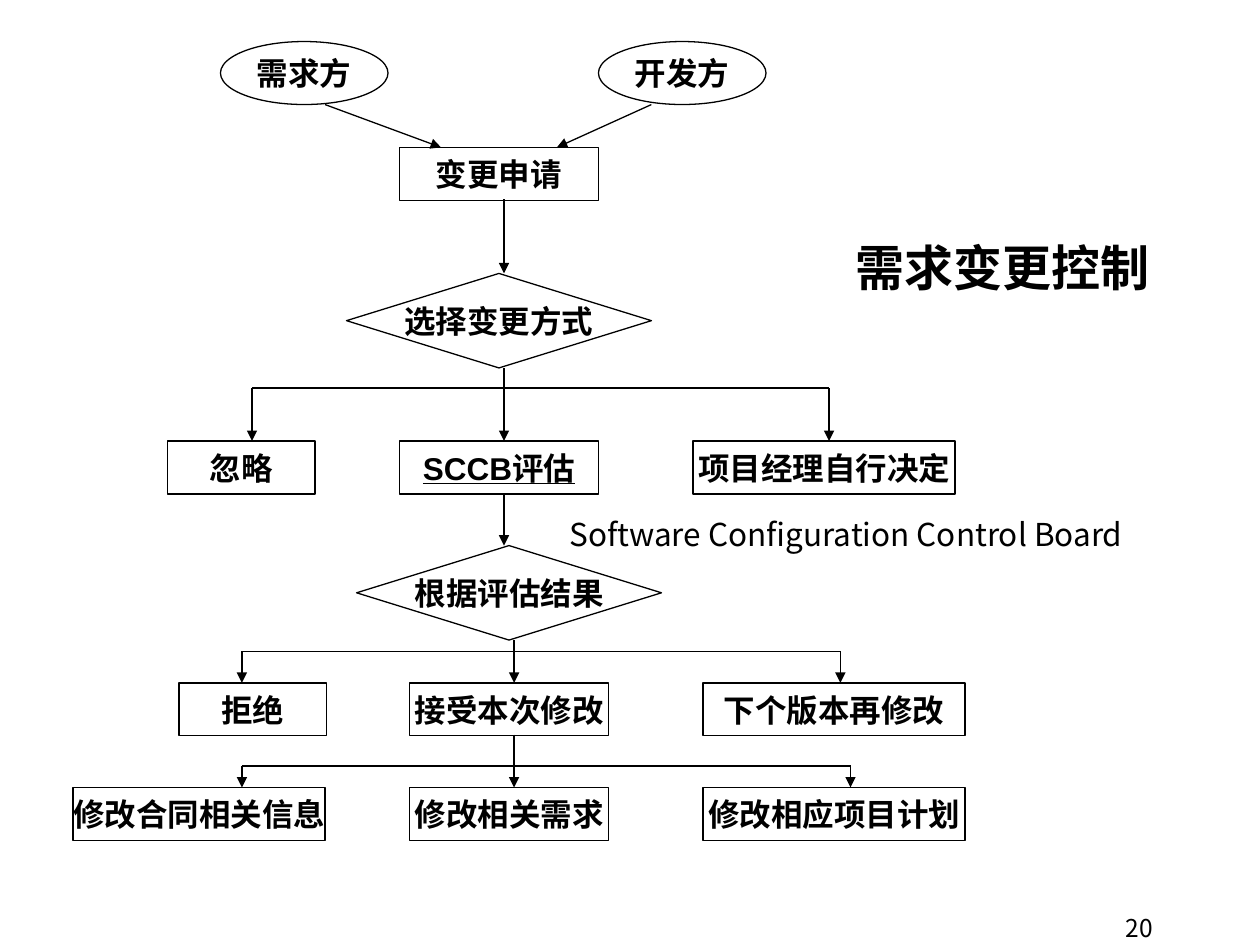
from dataclasses import dataclass

import pptx
import pptx.dml.color
import pptx.enum.shapes
import pptx.enum.text
import pptx.oxml
import pptx.oxml.ns
import pptx.util

Inches = pptx.util.Inches
Shape = pptx.enum.shapes.MSO_SHAPE
Align = pptx.enum.text.PP_ALIGN
Anchor = pptx.enum.text.MSO_ANCHOR


@dataclass(frozen=True)
class Theme:
    ink: pptx.dml.color.RGBColor = pptx.dml.color.RGBColor(0, 0, 0)
    step_font: str = "Arial"
    text_font: str = "Noto Sans CJK SC"
    number_font: str = "Noto Sans CJK KR"
    title_size: int = 28
    body_size: int = 18
    number_size: int = 14
    line_width: float = 0.75


THEME = Theme()
STEP_HEIGHT = 0.42


def add_xml(parent, tag, **attributes):
    element = pptx.oxml.parse_xml(f"<a:{tag} {pptx.oxml.ns.nsdecls('a')}/>")
    for name, value in attributes.items():
        element.set(name, value)
    parent.append(element)


def write(frame, text, font_name, size, bold=False, underline=None,
          align=Align.LEFT, anchor=Anchor.TOP, wrap=False):
    frame.text = text
    frame.word_wrap = wrap
    frame.vertical_anchor = anchor
    paragraph = frame.paragraphs[0]
    paragraph.alignment = align
    for run in paragraph.runs:
        run.font.size = pptx.util.Pt(size)
        run.font.bold = bold
        run.font.underline = underline
        run.font.color.rgb = THEME.ink
        run.font.name = font_name
        add_xml(run.font._element, "ea", typeface=font_name)
    return paragraph


def add_step(slide, kind, left, top, width, height, text, underline=None):
    step = slide.shapes.add_shape(
        kind, Inches(left), Inches(top), Inches(width), Inches(height))
    step.shadow.inherit = False
    step.fill.background()
    step.line.color.rgb = THEME.ink
    step.line.width = pptx.util.Pt(THEME.line_width)
    write(step.text_frame, text, THEME.step_font, THEME.body_size, bold=True,
          underline=underline, align=Align.CENTER, anchor=Anchor.MIDDLE)


def add_line(slide, start, end, arrow=True):
    line = slide.shapes.add_connector(
        pptx.enum.shapes.MSO_CONNECTOR.STRAIGHT,
        *(Inches(value) for value in (*start, *end)))
    line.line.color.rgb = THEME.ink
    line.line.width = pptx.util.Pt(THEME.line_width)
    if arrow:
        add_xml(line.line._get_or_add_ln(), "tailEnd", type="triangle")
    add_xml(line._element.spPr, "effectLst")


def add_fork(slide, left, stem, right, top, bar, bottom):
    add_line(slide, (left, bar), (right, bar), arrow=False)
    add_line(slide, (stem, top), (stem, bottom))
    for branch in (left, right):
        add_line(slide, (branch, bar), (branch, bottom))


def add_note(slide, left, top, width, height, text, font_name, size, **style):
    note = slide.shapes.add_textbox(
        Inches(left), Inches(top), Inches(width), Inches(height))
    write(note.text_frame, text, font_name, size, wrap=True, **style)


def place_title(slide, text):
    title = slide.shapes.title
    title.left, title.top = Inches(6.69), Inches(1.6)
    title.width, title.height = Inches(2.56), Inches(0.73)
    paragraph = write(title.text_frame, text, THEME.text_font,
                      THEME.title_size, bold=True)
    paragraph.line_spacing = 1.5
    title.text_frame.auto_size = pptx.enum.text.MSO_AUTO_SIZE.SHAPE_TO_FIT_TEXT


def add_steps(slide):
    for left, party in ((1.75, "需求方"), (4.75, "开发方")):
        add_step(slide, Shape.OVAL, left, 0.33, 1.33, 0.5, party)
    for left, top, decision in ((2.75, 2.17, "选择变更方式"),
                                (2.83, 4.33, "根据评估结果")):
        add_step(slide, Shape.DIAMOND, left, top, 2.42, 0.75, decision)

    rows = (
        (1.17, ((3.17, 1.58, "变更申请"),)),
        (3.5, ((1.33, 1.17, "忽略"), (3.17, 1.58, "SCCB评估"),
               (5.5, 2.08, "项目经理自行决定"))),
        (5.42, ((1.42, 1.17, "拒绝"), (3.25, 1.58, "接受本次修改"),
                (5.58, 2.08, "下个版本再修改"))),
        (6.25, ((0.58, 2, "修改合同相关信息"), (3.25, 1.58, "修改相关需求"),
                (5.58, 2.08, "修改相应项目计划"))),
    )
    for top, steps in rows:
        for left, width, text in steps:
            add_step(slide, Shape.RECTANGLE, left, top, width, STEP_HEIGHT,
                     text, underline=text.startswith("SCCB") or None)


def add_flow(slide):
    add_line(slide, (2.58, 0.83), (3.5, 1.17))
    add_line(slide, (5.17, 0.83), (4.42, 1.17))
    for top, bottom in ((1.58, 2.17), (3.92, 4.33)):
        add_line(slide, (4, top), (4, bottom))
    add_fork(slide, 2, 4, 6.58, top=2.92, bar=3.08, bottom=3.5)
    add_fork(slide, 1.92, 4.08, 6.67, top=5.08, bar=5.17, bottom=5.42)
    add_fork(slide, 1.92, 4.08, 6.75, top=5.83, bar=6.08, bottom=6.25)


def main():
    deck = pptx.Presentation()
    deck.slide_width, deck.slide_height = Inches(10), Inches(7.5)
    slide = deck.slides.add_slide(deck.slide_layouts.get_by_name("Title Only"))
    place_title(slide, "需求变更控制")
    add_steps(slide)
    add_flow(slide)
    add_note(slide, 4.42, 4.04, 4.96, 0.4,
             "Software Configuration Control Board",
             THEME.text_font, THEME.body_size)
    add_note(slide, 7.17, 7.22, 2.08, 0.28, "20", THEME.number_font,
             THEME.number_size, align=Align.RIGHT, anchor=Anchor.MIDDLE)
    deck.save("out.pptx")


if __name__ == "__main__":
    main()
